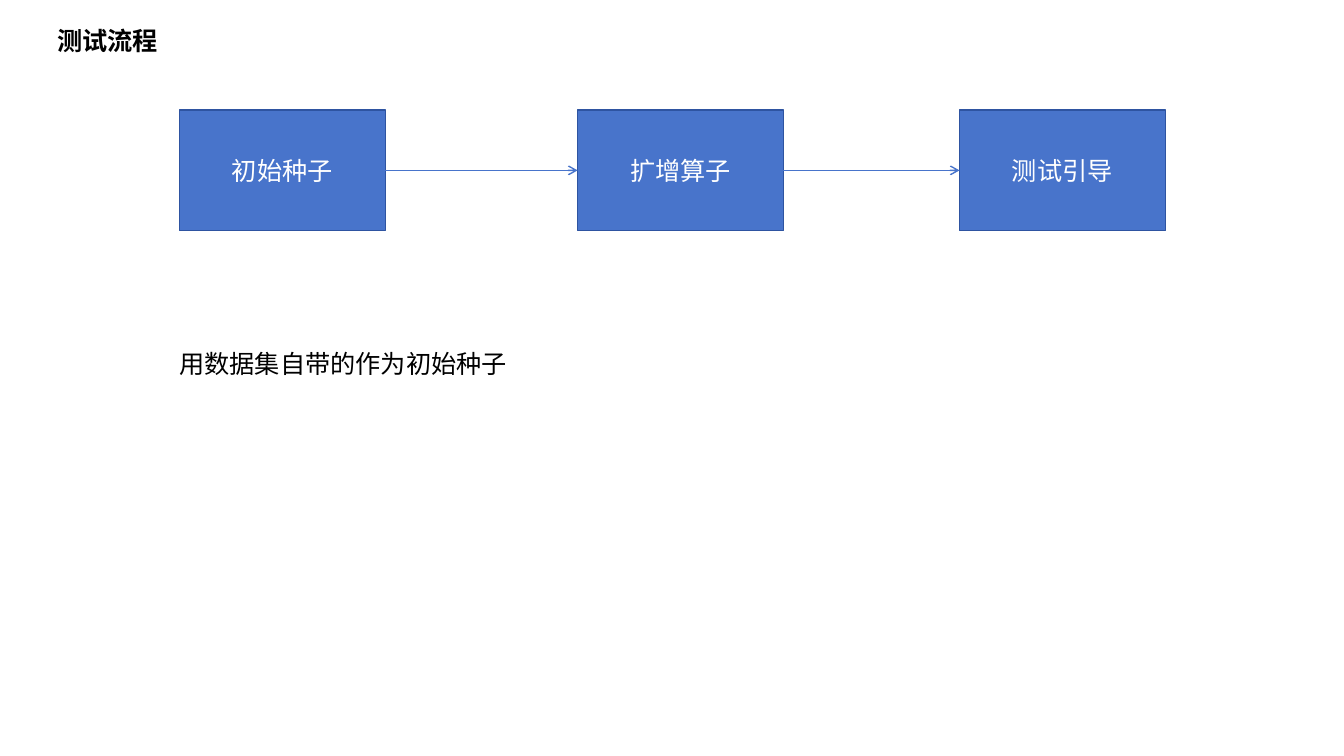
import pptx
import pptx.util
import pptx.dml.color
import pptx.enum.shapes
import pptx.enum.text
import pptx.oxml.ns
import lxml.etree

Pt = pptx.util.Pt
RGBColor = pptx.dml.color.RGBColor
PP_ALIGN = pptx.enum.text.PP_ALIGN
MSO_ANCHOR = pptx.enum.text.MSO_ANCHOR
qn = pptx.oxml.ns.qn

# Content
TITLE = "测试流程"
STEPS = [("初始种子", 128.2), ("扩增算子", 412.6), ("测试引导", 685.4)]  # label, left
NOTE = "用数据集自带的作为初始种子"

# Style
FONT = "Calibri"
TEXT_SIZE = 18
BLACK = RGBColor(0x00, 0x00, 0x00)
WHITE = RGBColor(0xFF, 0xFF, 0xFF)
BLUE = RGBColor(0x48, 0x74, 0xCB)
DARK_BLUE = RGBColor(0x2E, 0x54, 0xA1)
STEP_TOP, STEP_WIDTH, STEP_HEIGHT = 78.5, 147, 86.4


def write(shape, text, color, align, anchor, bold=False):
    frame = shape.text_frame
    frame.text = text
    frame.word_wrap = True
    frame.vertical_anchor = anchor
    paragraph = frame.paragraphs[0]
    paragraph.alignment = align
    for run in paragraph.runs:
        run.font.name = FONT
        run.font.size = Pt(TEXT_SIZE)
        run.font.bold = bold
        run.font.color.rgb = color


def add_step(slide, label, left):
    step = slide.shapes.add_shape(
        pptx.enum.shapes.MSO_SHAPE.RECTANGLE,
        Pt(left), Pt(STEP_TOP), Pt(STEP_WIDTH), Pt(STEP_HEIGHT))
    step.shadow.inherit = False
    step.fill.solid()
    step.fill.fore_color.rgb = BLUE
    step.line.color.rgb = DARK_BLUE
    step.line.width = Pt(1)
    write(step, label, WHITE, PP_ALIGN.CENTER, MSO_ANCHOR.MIDDLE)
    return step


def add_arrow(slide, source, target):
    arrow = slide.shapes.add_connector(
        pptx.enum.shapes.MSO_CONNECTOR.STRAIGHT, 0, 0, 0, 0)
    arrow.begin_connect(source, 3)
    arrow.end_connect(target, 1)
    arrow.line.color.rgb = BLUE
    arrow.line.width = Pt(1)
    lxml.etree.SubElement(arrow.line._get_or_add_ln(), qn("a:tailEnd"), type="arrow")
    lxml.etree.SubElement(arrow._element.spPr, qn("a:effectLst"))


def main():
    presentation = pptx.Presentation()
    presentation.slide_width = Pt(960)
    presentation.slide_height = Pt(540)
    slide = presentation.slides.add_slide(presentation.slide_layouts[5])

    # Title
    title = slide.shapes.title
    title.left, title.top, title.width, title.height = Pt(33.8), Pt(13), Pt(866), Pt(31.7)
    write(title, TITLE, BLACK, PP_ALIGN.LEFT, MSO_ANCHOR.MIDDLE, bold=True)

    # Flow of steps, each joined to the next
    steps = [add_step(slide, label, left) for label, left in STEPS]
    for source, target in zip(steps, steps[1:]):
        add_arrow(slide, source, target)

    # Note below the flow
    note = slide.shapes.add_textbox(Pt(121), Pt(245.5), Pt(319.7), Pt(28.8))
    write(note, NOTE, BLACK, PP_ALIGN.LEFT, MSO_ANCHOR.TOP)

    presentation.save("out.pptx")


if __name__ == "__main__":
    main()
